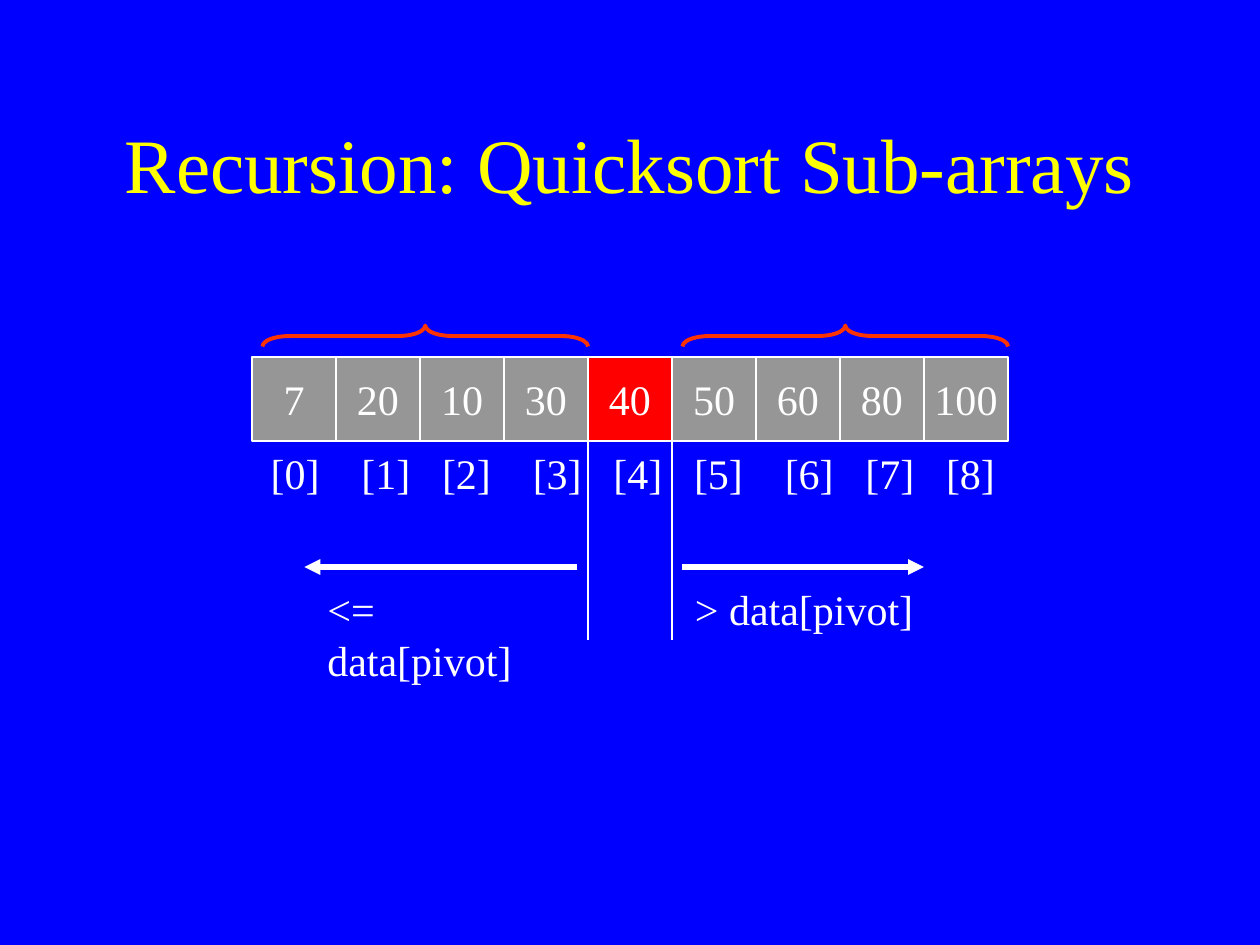
from itertools import accumulate

from lxml import etree
from pptx import Presentation
from pptx.dml.color import RGBColor
from pptx.enum.shapes import MSO_CONNECTOR, MSO_SHAPE
from pptx.enum.text import MSO_ANCHOR, PP_ALIGN
from pptx.oxml.ns import qn
from pptx.util import Inches, Pt

RECT, BRACE = MSO_SHAPE.RECTANGLE, MSO_SHAPE.LEFT_BRACE
LINE = MSO_CONNECTOR.STRAIGHT
LEFT, MID = PP_ALIGN.LEFT, PP_ALIGN.CENTER
TOP, CORE = MSO_ANCHOR.TOP, MSO_ANCHOR.MIDDLE


class Theme:
    font = "Times New Roman"
    back, title, ink = "0000FF", "FFFF00", "FFFFFF"
    cell, pivot, brace = "969696", "FF0000", "FF3300"
    head, body = 44, 24
    thin, bold, curve = 0.75, 3, 2.25


# Content
TITLE = "Recursion: Quicksort Sub-arrays"
DATA = [7, 20, 10, 30, 40, 50, 60, 80, 100]
PIVOT = 4
WIDE, SLIM = 0.72, 0.64  # index label steps, in inches
STEPS = [WIDE, SLIM, WIDE, SLIM, SLIM, WIDE, SLIM, SLIM]

# Grid: 120 by 90 units
WIDTH, HEIGHT = Inches(10), Inches(7.5)
UNIT = WIDTH / 120
CELL, START, ROW = 8, 24, 34
LOW = START + PIVOT * CELL  # left edge of the pivot cell
HIGH = LOW + CELL           # right edge of the pivot cell
END = START + len(DATA) * CELL
ARROW = 54
NOTES = [  # text, left, width, arrow from, arrow to
    ("<= data[pivot]", 30, 25.4, LOW - 1, 29),
    ("> data[pivot]", HIGH + 1, 23.2, HIGH + 1, END - CELL),
]
SPANS = [(START + 1, LOW), (HIGH + 1, END)]


def grid(*units):
    return [round(n * UNIT) for n in units]


def rgb(code):
    return RGBColor.from_string(code)


def write(shape, text, size=Theme.body, color=Theme.ink,
          align=LEFT, anchor=TOP, wrap=False):
    frame = shape.text_frame
    frame.word_wrap, frame.vertical_anchor = wrap, anchor
    para = frame.paragraphs[0]
    para.alignment = align
    run = para.add_run()
    run.text = text
    run.font.name, run.font.size = Theme.font, Pt(size)
    run.font.color.rgb = rgb(color)
    return para


def stroke(line, color, width):
    line.color.rgb, line.width = rgb(color), Pt(width)


def draw(shapes, x1, y1, x2, y2, width, arrow=False):
    link = shapes.add_connector(LINE, *grid(x1, y1, x2, y2))
    stroke(link.line, Theme.ink, width)
    props = link._element.spPr
    if arrow:
        etree.SubElement(props.find(qn("a:ln")), qn("a:tailEnd"), type="triangle")
    etree.SubElement(props, qn("a:effectLst"))


def set_tabs(para, stops):
    tabs = etree.SubElement(para._p.get_or_add_pPr(), qn("a:tabLst"))
    for stop in stops:
        etree.SubElement(tabs, qn("a:tab"), pos=str(Inches(stop)), algn="l")


def add_cells(shapes):
    for i, value in enumerate(DATA):
        box = shapes.add_shape(RECT, *grid(START + i * CELL, ROW, CELL, CELL))
        box.shadow.inherit = False
        box.fill.solid()
        box.fill.fore_color.rgb = rgb(Theme.pivot if i == PIVOT else Theme.cell)
        stroke(box.line, Theme.ink, Theme.thin)
        write(box, str(value), align=MID, anchor=CORE)


def add_labels(shapes):
    box = shapes.add_textbox(*grid(START + 0.6, ROW + CELL, 71.4, 6))
    names = "\t".join(f"[{i}]" for i in range(len(DATA)))
    set_tabs(write(box, names, wrap=True), accumulate(STEPS))


def add_brace(shapes, left, right):
    """Turn a tall left brace so that it lies above the cells."""
    long, thick = right - left, 2
    mid, level = (left + right) / 2, ROW - 2
    brace = shapes.add_shape(BRACE, *grid(
        mid - thick / 2, level - long / 2, thick, long))
    brace.rotation = 90
    brace.adjustments[0] = 1.29
    brace.shadow.inherit = False
    brace.fill.background()
    stroke(brace.line, Theme.brace, Theme.curve)


def main():
    deck = Presentation()
    deck.slide_width, deck.slide_height = WIDTH, HEIGHT
    slide = deck.slides.add_slide(deck.slide_layouts[5])
    slide.background.fill.solid()
    slide.background.fill.fore_color.rgb = rgb(Theme.back)
    shapes = slide.shapes

    title = shapes.title
    title.left, title.top, title.width, title.height = grid(9, 8, 102, 15)
    write(title, TITLE, Theme.head, Theme.title, MID, CORE, True)

    add_cells(shapes)
    add_labels(shapes)
    for x in (LOW, HIGH):
        draw(shapes, x, ROW, x, 61, Theme.thin)
    for text, left, width, tail, tip in NOTES:
        draw(shapes, tail, ARROW, tip, ARROW, Theme.bold, True)
        write(shapes.add_textbox(*grid(left, ARROW + 1, width, 6)), text)
    for span in SPANS:
        add_brace(shapes, *span)
    deck.save("out.pptx")


if __name__ == "__main__":
    main()
